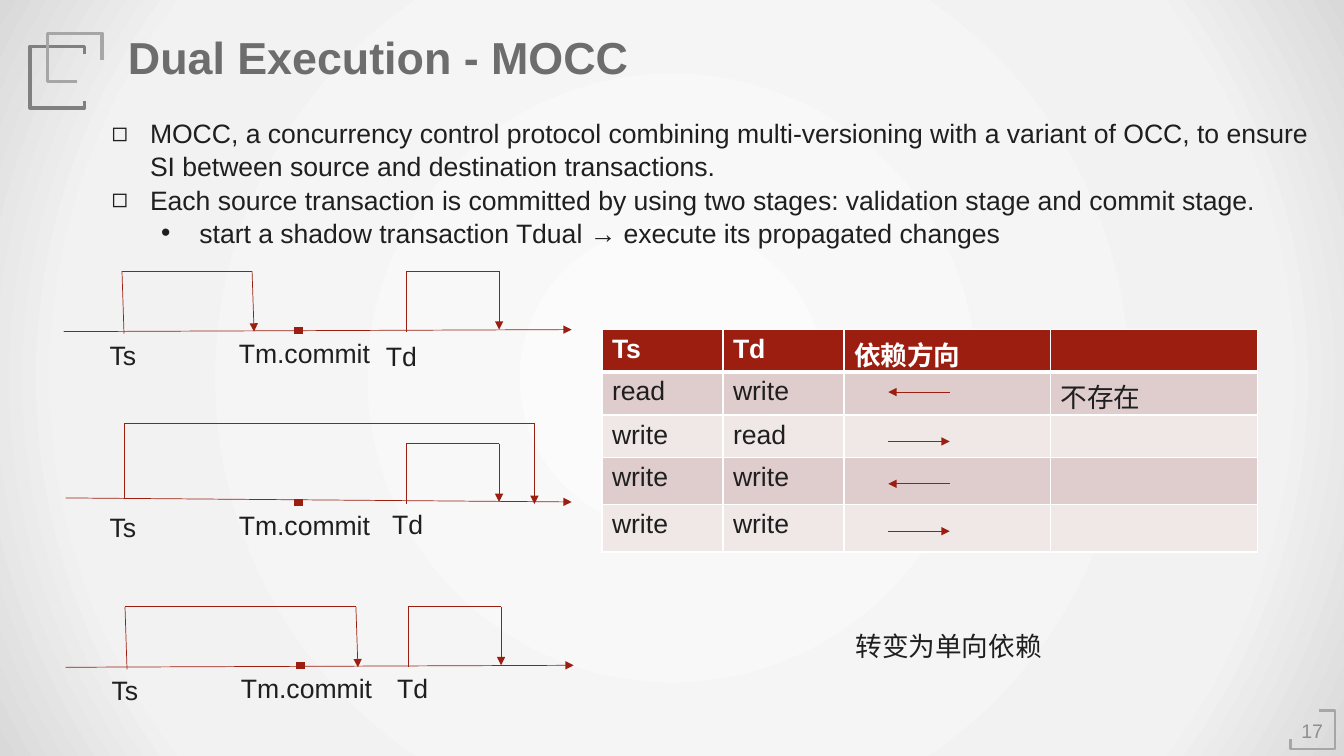
from pptx import Presentation
from pptx.dml.color import RGBColor
from pptx.enum.shapes import MSO_CONNECTOR, MSO_SHAPE
from pptx.enum.text import MSO_ANCHOR, MSO_AUTO_SIZE, PP_ALIGN
from pptx.oxml import parse_xml
from pptx.oxml.ns import nsdecls, qn
from pptx.util import Pt
from lxml import etree

PX = 9144  # 100 px to the inch
LINE, RECT = MSO_CONNECTOR.STRAIGHT, MSO_SHAPE.RECTANGLE
FIT, MIDDLE, CENTER = MSO_AUTO_SIZE.SHAPE_TO_FIT_TEXT, MSO_ANCHOR.MIDDLE, PP_ALIGN.CENTER

RED = RGBColor(0x9B, 0x1E, 0x11)
DARK = RGBColor(0x1F, 0x1F, 0x1F)
WHITE = RGBColor(0xFF, 0xFF, 0xFF)
TITLE = RGBColor(0x6D, 0x6D, 0x6D)
PAGE = RGBColor(0x8F, 0x8F, 0x8F)
GREY = RGBColor(0x80, 0x80, 0x80)
PALE = RGBColor(0xA6, 0xA6, 0xA6)
BANDS = [RGBColor(0xDE, 0xCD, 0xCC), RGBColor(0xEF, 0xE8, 0xE7)]
GLOW = [(0, "FBFBFB"), (79, "F2F2F2"), (100, "D9D9D9")]

# Content
BODY = {"name": "Arial", "size": Pt(19), "bold": False}
HEAD = {"name": "Arial", "size": Pt(32), "bold": True}
SMALL = {"name": "Arial", "size": Pt(14), "bold": False}

POINTS = [  # text, bullet, left indent
    ("MOCC, a concurrency control protocol combining multi-versioning with a "
     "variant of OCC, to ensure SI between source and destination transactions.", "◻", 38),
    ("Each source transaction is committed by using two stages: "
     "validation stage and commit stage.", "◻", 38),
    ("start a shadow transaction Tdual → execute its propagated changes", "•", 87),
]
CELLS = [
    ("Ts", "Td", "依赖方向", ""),
    ("read", "write", "", "不存在"),
    ("write", "read", "", ""),
    ("write", "write", "", ""),
    ("write", "write", "", ""),
]
COLS = [120, 120, 205, 205]
ROWS = [41, 43, 42, 47, 47]
WAYS = [(389, "headEnd"), (438, "tailEnd"), (480, "headEnd"), (527, "tailEnd")]
FRAMES = [  # corners, colour, width
    ([(84, 54), (84, 46), (30, 46), (30, 107), (84, 107), (84, 100)], GREY, 2.5),
    ([(101, 60), (101, 33), (47, 33), (47, 81), (76, 81)], PALE, 2.5),
    ([(1280, 733), (1280, 743), (1324, 743), (1324, 705), (1308, 705)], PALE, 2),
]
TRACKS = [  # shift, base, axis start, Ts arc, Td label
    {"dx": 0, "base": 327, "start": (63, 2), "arc": (121, 250, 58, 2, 4), "td": (373, 5)},
    {"dx": 0, "base": 498, "start": (65, -4), "arc": (123, 530, 78, 0, -4), "td": (379, 1)},
    {"dx": 2, "base": 660, "start": (65, 2), "arc": (124, 353, 58, 2, 4), "td": (384, 2)},
]

deck = Presentation()
deck.slide_width, deck.slide_height = 1333 * PX, 750 * PX
slide = deck.slides.add_slide(deck.slide_layouts[6])
shapes = slide.shapes


def style(font, form, color):
    for key, value in form.items():
        setattr(font, key, value)
    font.color.rgb = color


def label(text, x, y, w, h, form=BODY, color=DARK):
    box = shapes.add_textbox(x * PX, y * PX, w * PX, h * PX)
    frame = box.text_frame
    frame.word_wrap = False
    frame.auto_size = FIT
    run = frame.paragraphs[0].add_run()
    run.text = text
    style(run.font, form, color)
    return frame


def line(x1, y1, x2, y2, end=None, width=0.5):
    edge = shapes.add_connector(LINE, x1 * PX, y1 * PX, x2 * PX, y2 * PX)
    edge.line.color.rgb = RED
    edge.line.width = Pt(width)
    if end:
        etree.SubElement(edge.line._get_or_add_ln(), qn("a:" + end), type="triangle")
    etree.SubElement(edge._element.spPr, qn("a:effectLst"))


# Background glow
back = shapes.add_shape(RECT, 0, 0, deck.slide_width, deck.slide_height)
back.shadow.inherit = False
back.line.fill.background()
stops = "".join(f'<a:gs pos="{at * 1000}"><a:srgbClr val="{hue}"/></a:gs>' for at, hue in GLOW)
back._element.spPr.find(qn("a:prstGeom")).addnext(parse_xml(
    f'<a:gradFill {nsdecls("a")}><a:gsLst>{stops}</a:gsLst><a:path path="circle">'
    '<a:fillToRect l="50000" t="50000" r="50000" b="50000"/></a:path></a:gradFill>'))

# Corner frames
for dots, color, width in FRAMES:
    pen = shapes.build_freeform(*dots[0], scale=PX)
    pen.add_line_segments(dots[1:], close=False)
    frame = pen.convert_to_shape()
    frame.shadow.inherit = False
    frame.fill.background()
    frame.line.color.rgb = color
    frame.line.width = Pt(width)

# Page number and title
page = label("17", 1280, 709, 43, 31, SMALL, PAGE)
page.word_wrap = True
page.vertical_anchor = MIDDLE
page.paragraphs[0].alignment = CENTER
for side in ("left", "right", "top", "bottom"):
    setattr(page, "margin_" + side, (7 if side in ("left", "right") else 4) * PX)
label("Dual Execution - MOCC", 117, 25, 521, 64, HEAD, TITLE)

# Bullet points
body = shapes.add_textbox(101 * PX, 110 * PX, 1214 * PX, 138 * PX).text_frame
body.word_wrap = True
for i, (text, mark, left) in enumerate(POINTS):
    para = body.add_paragraph() if i else body.paragraphs[0]
    para.line_spacing = 1.04
    run = para.add_run()
    run.text = text
    style(run.font, BODY, DARK)
    props = para._p.get_or_add_pPr()
    props.set("marL", str(left * PX))
    props.set("indent", str(-38 * PX))
    etree.SubElement(props, qn("a:buFont"), typeface="Arial")
    etree.SubElement(props, qn("a:buChar"), char=mark)

# Dependency table
table = shapes.add_table(len(ROWS), len(COLS), 597 * PX, 327 * PX,
                         sum(COLS) * PX, sum(ROWS) * PX).table
for col, width in zip(table.columns, COLS):
    col.width = width * PX
for r, row in enumerate(CELLS):
    table.rows[r].height = ROWS[r] * PX
    for c, text in enumerate(row):
        cell = table.cell(r, c)
        para = cell.text_frame.paragraphs[0]
        para.text = text
        font = para.runs[0].font if text else para.font
        style(font, {**BODY, "bold": r == 0}, DARK if r else WHITE)
        props = cell._tc.get_or_add_tcPr()
        for side in ("L", "R", "T", "B"):
            thick = 3 if (r, side) in ((0, "B"), (1, "T")) else 1
            props.append(parse_xml(
                f'<a:ln{side} {nsdecls("a")} w="{Pt(thick)}"><a:solidFill>'
                f'<a:srgbClr val="{WHITE}"/></a:solidFill></a:ln{side}>'))
        cell.fill.solid()
        cell.fill.fore_color.rgb = BANDS[(r - 1) % 2] if r else RED
for y, end in WAYS:
    line(881, y, 942, y, end)

# Timelines
for track in TRACKS:
    dx, base = track["dx"], track["base"]
    x, drop = track["start"]
    line(x, base + drop, 567 + dx, base, "tailEnd")
    # Td arc
    left, right, top = 403 + dx, 495 + dx, base - 58
    line(left, top, left, base + 2)
    line(left, top, right, top)
    line(right, top, right, base, "tailEnd")
    # Ts arc
    left, right, rise, lean, foot = track["arc"]
    top = base - rise
    line(left, top, left + lean, base + foot)
    line(left, top, right, top)
    line(right, top, right + lean, base + 2, "tailEnd")
    # Commit mark and labels
    line(296 + dx, base - 3, 296 + dx, base + 4, width=6)
    label("Tm.commit", 227 + dx, base + 2, 152, 42)
    label("Ts", 99 + dx, base + 4, 47, 42)
    x, drop = track["td"]
    label("Td", x, base + drop, 51, 42)

label("转变为单向依赖", 839, 620, 207, 42)

deck.save("out.pptx")
